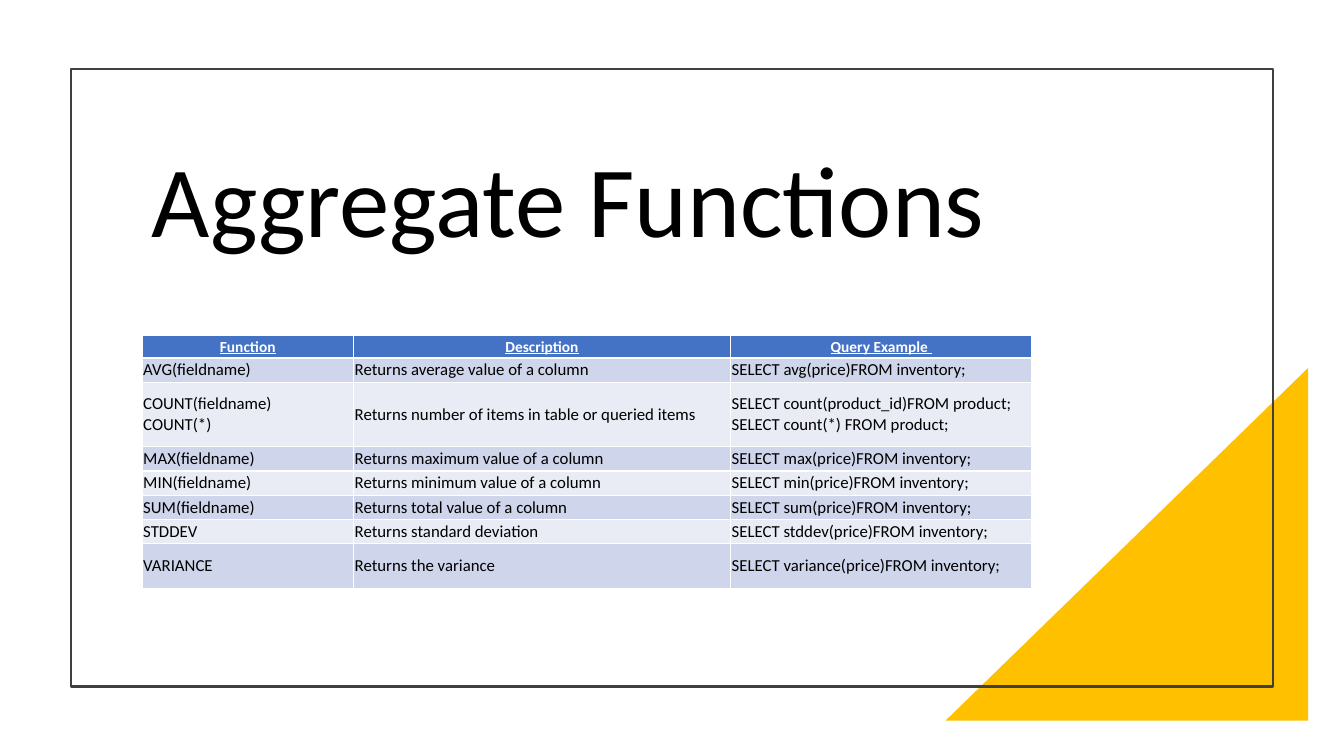
from lxml import etree
from pptx import Presentation
from pptx.dml.color import RGBColor
from pptx.enum.shapes import MSO_SHAPE
from pptx.enum.text import MSO_ANCHOR, PP_ALIGN
from pptx.oxml.ns import qn
from pptx.util import Cm, Pt

RECT = MSO_SHAPE.RECTANGLE
WEDGE = MSO_SHAPE.RIGHT_TRIANGLE
MID = MSO_ANCHOR.MIDDLE
LEFT = PP_ALIGN.LEFT
CENTER = PP_ALIGN.CENTER

HEAD = ["Function", "Description", "Query Example "]
ROWS = [
    ["AVG(fieldname)", "Returns average value of a column",
     "SELECT avg(price)FROM inventory;"],
    ["COUNT(fieldname)\vCOUNT(*)", "Returns number of items in table or queried items",
     "SELECT count(product_id)FROM product;\vSELECT count(*) FROM product;"],
    ["MAX(fieldname)", "Returns maximum value of a column",
     "SELECT max(price)FROM inventory;"],
    ["MIN(fieldname)", "Returns minimum value of a column",
     "SELECT min(price)FROM inventory;"],
    ["SUM(fieldname)", "Returns total value of a column",
     "SELECT sum(price)FROM inventory;"],
    ["STDDEV", "Returns standard deviation",
     "SELECT stddev(price)FROM inventory;"],
    ["VARIANCE", "Returns the variance",
     "SELECT variance(price)FROM inventory;"],
]
WIDTHS = [5.33, 9.5, 7.59]
HEIGHTS = [0.56, 0.61, 1.63, 0.61, 0.61, 0.61, 0.61, 1.12]


def color(code):
    return RGBColor.from_string(code)


class Deck:
    """Holds the style and the current slide, and draws its elements."""

    font = "Calibri"
    ink = "000000"
    paper = "FFFFFF"
    blue = "4472C4"
    bands = ["CFD5EA", "E9EBF5"]
    inset = Cm(0.03)

    def __init__(self, prs):
        self.slide = prs.slides.add_slide(prs.slide_layouts[6])

    def shape(self, kind, box, fill=None, line=None, flip=False):
        item = self.slide.shapes.add_shape(kind, *map(Cm, box))
        item.shadow.inherit = False
        if fill:
            item.fill.solid()
            item.fill.fore_color.rgb = color(fill)
        else:
            item.fill.background()
        if line:
            item.line.color.rgb = color(line)
            item.line.width = Pt(1.5)
        else:
            item.line.fill.background()
        if flip:
            item.element.spPr.find(qn("a:xfrm")).set("flipH", "1")

    def label(self, frame, text, size, ink, align=LEFT, strong=False):
        frame.text = text
        frame.word_wrap = True
        para = frame.paragraphs[0]
        para.alignment = align
        for run in para.runs:
            font = run.font
            font.name = self.font
            font.size = Pt(size)
            font.bold = font.underline = strong
            font.color.rgb = color(ink)
        for gap in para._p.iter(qn("a:br")):
            etree.SubElement(gap, qn("a:rPr")).set("sz", str(size * 100))

    def title(self, text, box):
        frame = self.slide.shapes.add_textbox(*map(Cm, box)).text_frame
        self.label(frame, text, 72, self.ink)
        frame.vertical_anchor = MID
        frame.paragraphs[0].line_spacing = 0.9

    def cell(self, cell, text, row):
        if row == 0:
            fill = self.blue
            self.label(cell.text_frame, text, 11, self.paper, CENTER, True)
        else:
            fill = self.bands[(row - 1) % 2]
            self.label(cell.text_frame, text, 12, self.ink)
        cell.fill.solid()
        cell.fill.fore_color.rgb = color(fill)
        cell.vertical_anchor = MID
        cell.margin_left = cell.margin_right = self.inset
        cell.margin_top = cell.margin_bottom = self.inset

    def table(self, data, left, top, widths, heights):
        size = Cm(sum(widths)), Cm(sum(heights))
        table = self.slide.shapes.add_table(
            len(data), len(widths), Cm(left), Cm(top), *size).table
        for col, width in zip(table.columns, widths):
            col.width = Cm(width)
        for row, height in zip(table.rows, heights):
            row.height = Cm(height)
        for r, line in enumerate(data):
            for c, text in enumerate(line):
                self.cell(table.cell(r, c), text, r)


def main():
    prs = Presentation()
    prs.slide_width = Cm(33.87)
    prs.slide_height = Cm(19.05)
    deck = Deck(prs)
    deck.shape(WEDGE, (23.83, 9.27, 9.14, 8.89), fill="FFC000", flip=True)
    deck.shape(RECT, (1.78, 1.73, 30.3, 15.57), line="404040")
    deck.title("Aggregate Functions", (3.58, 2.92, 22.43, 4.5))
    deck.table([HEAD] + ROWS, 3.58, 8.46, WIDTHS, HEIGHTS)
    prs.save("out.pptx")


if __name__ == "__main__":
    main()
